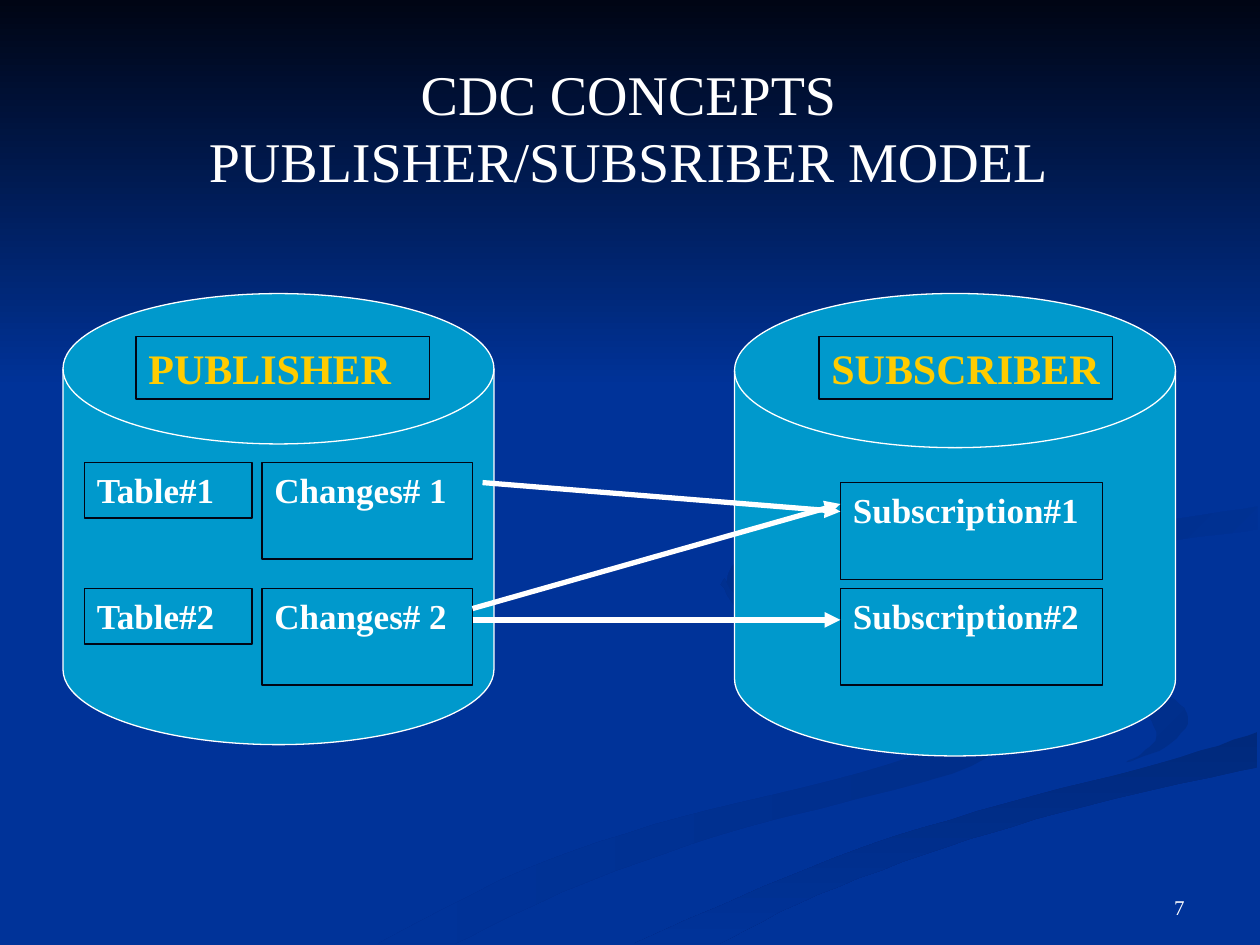
from lxml import etree
from pptx import Presentation
from pptx import util as u
from pptx.dml import color
from pptx.enum import shapes, text
from pptx.oxml import ns

FONT = "Times New Roman"
COLORS = {
    "background": "003399",
    "night": "000514",
    "disk": "0099CC",
    "white": "FFFFFF",
    "gold": "FFCC00",
    "shade": "002E8A",
    "deep_shade": "00297C",
    "edge_shade": "002C85",
    "curl_shade": "002B81",
}

CURVE_STEPS = 6
POINTS_PER_INCH = 100
DOWNWARD, LEFTWARD, DIAGONAL = 270, 180, 135

RIBBONS = [
    {"outer": [(5.75, 4.59), (6.02, 4.9), (6.82, 5.19), (7.81, 5.53), (8, 5.81),
               (7.56, 6.14), (5.94, 6.56), (4.66, 7), (3.61, 7.49)],
     "inner": [(5.72, 4.64), (6.02, 4.95), (6.97, 5.25), (7.81, 5.56), (7.8, 5.79),
               (6.84, 6.13), (5.39, 6.49), (4.17, 6.9), (3, 7.49)],
     "blend": ("shade", "background", LEFTWARD)},
    {"outer": [(7.24, 4.64), (7.58, 4.98), (8.5, 5.24), (9.19, 5.47),
               (9.43, 5.7), (9.25, 5.93), (8.94, 6.05)],
     "inner": [(7.24, 4.64), (7.55, 5.05), (8.15, 5.3), (8.92, 5.53),
               (9.18, 5.81), (9.07, 5.97), (8.94, 6.05)],
     "blend": ("shade", "background", DIAGONAL)},
    {"outer": [(9.98, 5.81), (9.2, 6.06), (7.97, 6.38), (6.62, 6.81), (5.03, 7.49)],
     "inner": [(9.98, 6.09), (8.61, 6.4), (7.52, 6.72), (6.49, 7.1), (5.71, 7.49)],
     "blend": ("deep_shade", "background", DOWNWARD)},
    {"outer": [(9.98, 4.02), (8.98, 4.18), (8.21, 4.33), (7.81, 4.6), (8.26, 4.96)],
     "inner": [(9.98, 4.2), (8.96, 4.35), (8.28, 4.53), (8.05, 4.72), (8.26, 4.96)],
     "blend": ("background", "edge_shade", DIAGONAL)},
    {"outer": [(7.62, 2.33), (8.43, 2.75), (8.93, 3.35), (8.55, 3.91),
               (7.64, 4.17), (6.49, 4.36), (5.93, 4.7), (6.22, 5)],
     "inner": [(7.62, 2.33), (8.26, 2.66), (8.89, 3.35), (8.42, 3.78),
               (7.33, 4.04), (6.15, 4.29), (5.77, 4.62), (6.22, 5)],
     "blend": ("background", "curl_shade", DIAGONAL)},
]

DISK_TOP = 2.33
TITLE_TOP, TITLE_SIZE = 2.67, (2.33, 0.5)
ROW_TOP, ROW_STEP = 3.67, 1
TABLE_LEFT, TABLE_SIZE = 0.67, (1.33, 0.44)
CHANGES_LEFT, CHANGES_SIZE = 2.08, (1.67, 0.77)
SUBSCRIPTION_LEFT, SUBSCRIPTION_SIZE = 6.67, (2.08, 0.77)
SUBSCRIPTION_TOPS = (3.83, 4.67)
CHANGES_RIGHT = CHANGES_LEFT + CHANGES_SIZE[0]


def rgb(name):
    return color.RGBColor.from_string(COLORS[name])


def smooth_curve(knots):
    padded = [knots[0], *knots, knots[-1]]
    curve = [knots[0]]
    for before, start, end, after in zip(padded, padded[1:], padded[2:], padded[3:]):
        for step in range(1, CURVE_STEPS + 1):
            t = step / CURVE_STEPS
            curve.append(tuple(
                b + (c - a) * t / 2
                + (2 * a - 5 * b + 4 * c - d) * t ** 2 / 2
                + (3 * b - a - 3 * c + d) * t ** 3 / 2
                for a, b, c, d in zip(before, start, end, after)))
    return curve


def paint_gradient(shape, first, last, angle):
    shape.shadow.inherit = False
    shape.line.fill.background()
    shape.fill.gradient()
    shape.fill.gradient_angle = angle
    for stop, name in zip(shape.fill.gradient_stops, (first, last)):
        stop.color.rgb = rgb(name)


def add_ribbon(page, outer, inner, blend):
    outline = smooth_curve(outer) + smooth_curve(inner)[::-1]
    points = [(x * POINTS_PER_INCH, y * POINTS_PER_INCH) for x, y in outline]
    builder = page.shapes.build_freeform(
        *points[0], scale=u.Inches(1) / POINTS_PER_INCH)
    builder.add_line_segments(points[1:], close=True)
    paint_gradient(builder.convert_to_shape(), *blend)


def add_night_sky(page):
    sky = page.shapes.add_shape(shapes.MSO_SHAPE.RECTANGLE, 0, 0,
                                u.Inches(10), u.Inches(3.08))
    paint_gradient(sky, "night", "background", DOWNWARD)


def add_outlined(page, kind, place, line_color, width):
    shape = page.shapes.add_shape(kind, *map(u.Inches, place))
    shape.shadow.inherit = False
    shape.line.color.rgb = rgb(line_color)
    shape.line.width = u.Pt(width)
    return shape


def add_disk(page, left, width, height):
    disk = add_outlined(page, shapes.MSO_SHAPE.FLOWCHART_MAGNETIC_DISK,
                        (left, DISK_TOP, width, height), "white", 0.75)
    disk.fill.solid()
    disk.fill.fore_color.rgb = rgb("disk")


def write(box, words, size, name="white", bold=False,
          align=text.PP_ALIGN.LEFT, anchor=text.MSO_ANCHOR.TOP, wrap=True):
    frame = box.text_frame
    frame.text = words
    frame.word_wrap = wrap
    frame.vertical_anchor = anchor
    for para in frame.paragraphs:
        para.alignment = align
        for span in para.runs:
            span.font.name = FONT
            span.font.size = u.Pt(size)
            span.font.bold = bold
            span.font.color.rgb = rgb(name)


def add_label(page, words, left, top, box_size, font_size=20, name="white"):
    box = add_outlined(page, shapes.MSO_SHAPE.RECTANGLE,
                       (left, top, *box_size), "night", 1)
    box.fill.background()
    write(box, words, font_size, name, bold=True)


def add_arrow(page, *ends):
    arrow = page.shapes.add_connector(shapes.MSO_CONNECTOR.STRAIGHT,
                                      *map(u.Inches, ends))
    arrow.line.color.rgb = rgb("white")
    arrow.line.width = u.Pt(3)
    head = etree.SubElement(arrow.line._get_or_add_ln(), ns.qn("a:tailEnd"))
    head.set("type", "triangle")
    etree.SubElement(arrow._element.spPr, ns.qn("a:effectLst"))


def add_text(page, words, place, size, **layout):
    box = page.shapes.add_textbox(*map(u.Inches, place))
    write(box, words, size, **layout)


def main():
    deck = Presentation()
    deck.slide_width, deck.slide_height = u.Inches(10), u.Inches(7.5)
    page = deck.slides.add_slide(deck.slide_layouts[6])
    page.background.fill.solid()
    page.background.fill.fore_color.rgb = rgb("background")

    for ribbon in RIBBONS:
        add_ribbon(page, **ribbon)
    add_night_sky(page)

    add_disk(page, 0.5, 3.42, 3.58)
    add_disk(page, 5.83, 3.5, 3.67)
    for words, left in (("PUBLISHER", 1.08), ("SUBSCRIBER", 6.5)):
        add_label(page, words, left, TITLE_TOP, TITLE_SIZE, 24, "gold")

    for row, subscription_top in enumerate(SUBSCRIPTION_TOPS):
        number, top = row + 1, ROW_TOP + row * ROW_STEP
        add_label(page, f"Table#{number}", TABLE_LEFT, top, TABLE_SIZE)
        add_label(page, f"Changes# {number}", CHANGES_LEFT, top, CHANGES_SIZE)
        add_label(page, f"Subscription#{number}", SUBSCRIPTION_LEFT,
                  subscription_top, SUBSCRIPTION_SIZE)

    for start_x, start_y, end_y in ((3.83, 3.83, 4.06),
                                    (CHANGES_RIGHT, 4.83, 4),
                                    (CHANGES_RIGHT, 4.92, 4.92)):
        add_arrow(page, start_x, start_y, SUBSCRIPTION_LEFT, end_y)

    add_text(page, "CDC CONCEPTS\nPUBLISHER/SUBSRIBER MODEL",
             (1.51, 0.42, 6.96, 1.17), 32,
             align=text.PP_ALIGN.CENTER, wrap=False)
    add_text(page, "7", (7.17, 6.83, 2.33, 0.52), 12,
             align=text.PP_ALIGN.RIGHT, anchor=text.MSO_ANCHOR.BOTTOM)
    deck.save("out.pptx")


if __name__ == "__main__":
    main()
